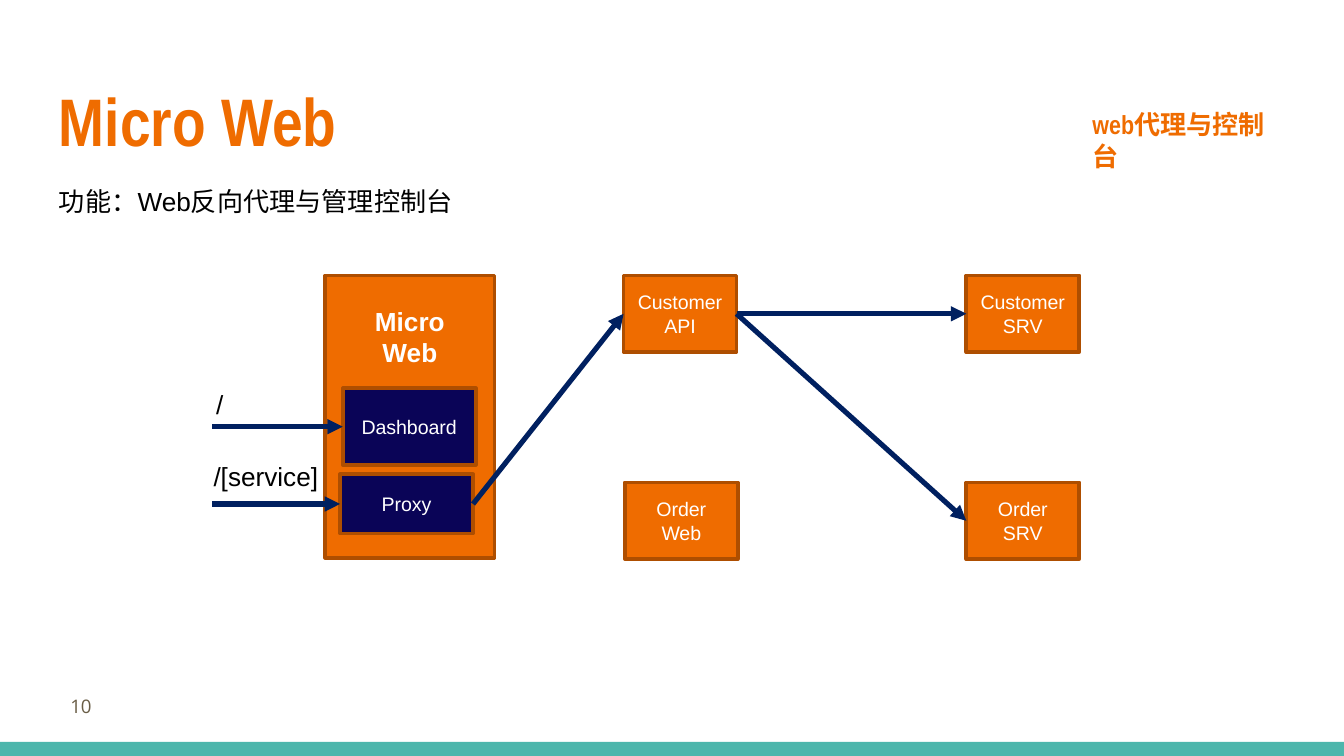
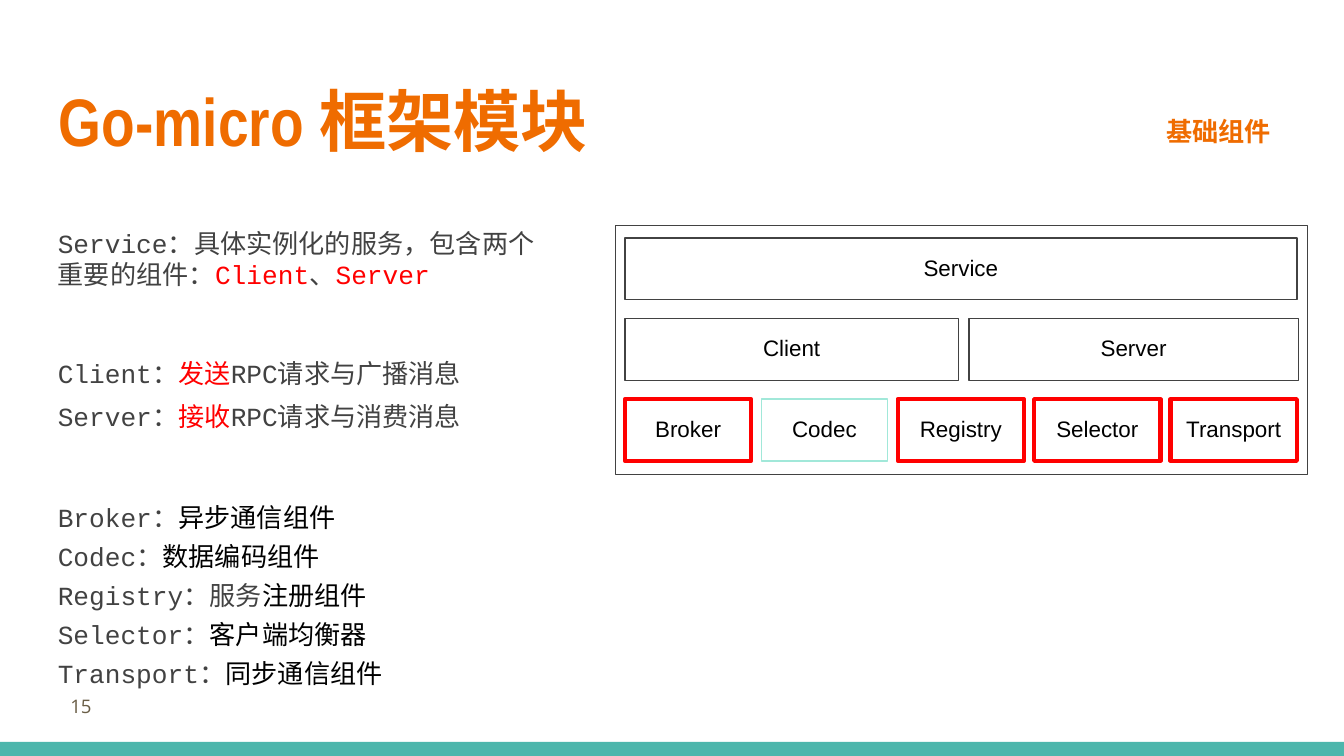
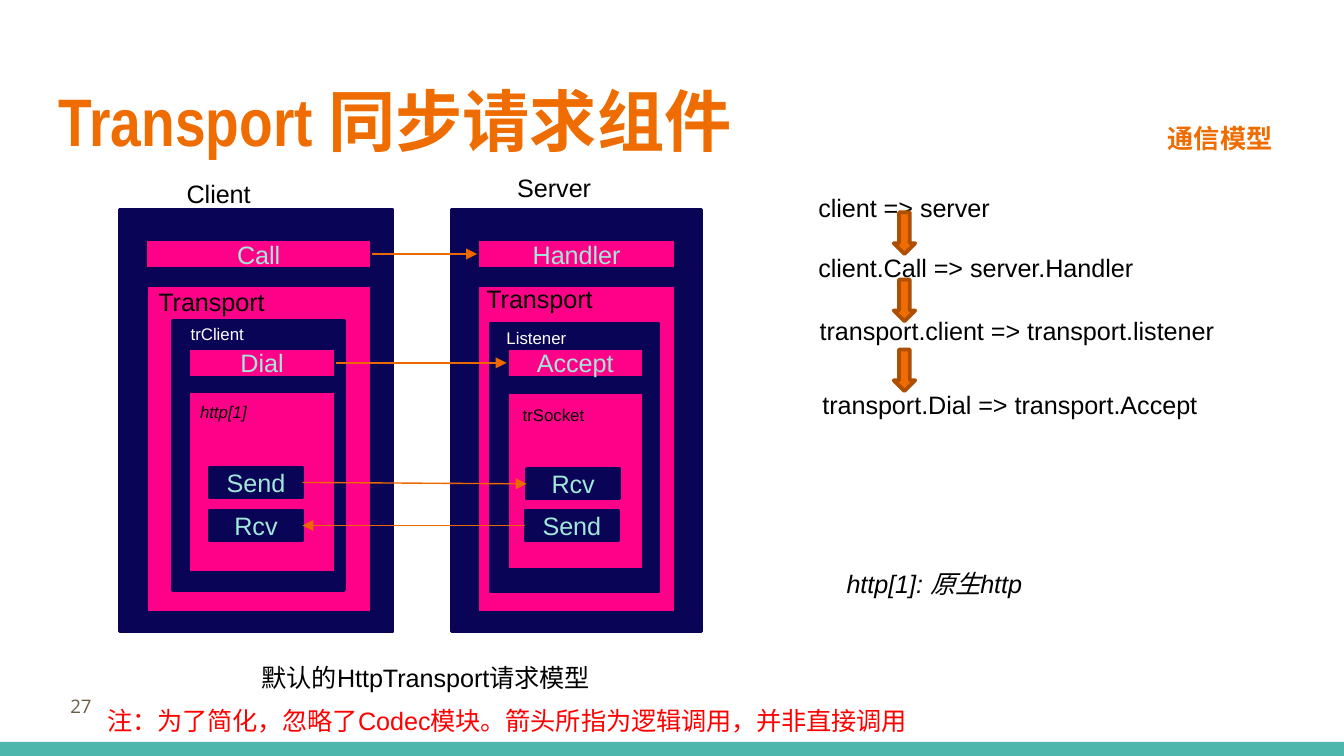
import dataclasses

import pptx
import pptx.dml.color
import pptx.enum.shapes
import pptx.enum.text
import pptx.oxml
import pptx.oxml.ns
import pptx.util

Inches = pptx.util.Inches
SHAPE = pptx.enum.shapes.MSO_SHAPE
ALIGN = pptx.enum.text.PP_ALIGN
ANCHOR = pptx.enum.text.MSO_ANCHOR

COLOURS = {
    "teal": "4DB6AC", "orange": "EF6C00", "rust": "AE4E00", "arrow": "EE6800",
    "navy": "0A0457", "blue": "002060", "pink": "FF0089", "mint": "A1E8D9",
    "red": "FF0000", "grey": "424242", "olive": "695D46",
    "black": "000000", "white": "FFFFFF",
}

FONTS = {
    "title": {"name": "Arial Narrow", "size": 36, "bold": True},
    "topic": {"name": "Arial Narrow", "size": 14, "bold": True},
    "number": {"name": "Open Sans", "size": 10},
    "body": {"name": "Arial", "size": 14},
    "strong": {"name": "Arial", "size": 14, "bold": True},
    "node": {"name": "Arial", "size": 10.5},
    "module": {"name": "Arial", "size": 12},
    "code": {"name": "Courier New", "size": 14},
    "model": {"name": "Arial", "size": 13.5},
    "model italic": {"name": "Arial", "size": 13.5, "italic": True},
    "small": {"name": "Arial", "size": 9},
    "small italic": {"name": "Arial", "size": 9, "italic": True},
}

INSETS = (0.1, 0.05, 0.1, 0.05)
WIDE_INSETS = (0.1, 0.1, 0.1, 0.1)
TIGHT_INSETS = (0.07, 0.04, 0.07, 0.04)
LINE_INSETS = (0.01, 0.01, 0, 0)
MODULE_INSETS = (0, 0.12, 0, 0)


@dataclasses.dataclass
class Box:
    left: float
    top: float
    width: float
    height: float

    def inside(self, x, y, width, height):
        return Box(self.left + x, self.top + y, width, height)

    def lengths(self):
        return [Inches(value) for value in dataclasses.astuple(self)]


def rgb(colour):
    return pptx.dml.color.RGBColor.from_string(COLOURS[colour])


def write(shape, lines, font, colour, insets=INSETS, align=ALIGN.LEFT, anchor=ANCHOR.TOP):
    frame = shape.text_frame
    sides = ("margin_left", "margin_top", "margin_right", "margin_bottom")
    settings = dict(zip(sides, map(Inches, insets)))
    settings.update(word_wrap=True, vertical_anchor=anchor)
    for name, value in settings.items():
        setattr(frame, name, value)
    for index, line in enumerate(lines):
        para = frame.add_paragraph() if index else frame.paragraphs[0]
        para.alignment = align
        for text, tint in [(line, colour)] if isinstance(line, str) else line:
            span = para.add_run()
            span.text = text
            for name, value in FONTS[font].items():
                setattr(span.font, name, pptx.util.Pt(value) if name == "size" else value)
            span.font.color.rgb = rgb(tint)


def add_text(page, box, line, font, colour="black", **layout):
    write(page.shapes.add_textbox(*box.lengths()), [line], font, colour, **layout)


def add_block(page, box, fill=None, outline=None, weight=2, kind=SHAPE.RECTANGLE):
    shape = page.shapes.add_shape(kind, *box.lengths())
    shape.shadow.inherit = False
    if fill:
        shape.fill.solid()
        shape.fill.fore_color.rgb = rgb(fill)
    else:
        shape.fill.background()
    if outline:
        shape.line.color.rgb = rgb(outline)
        shape.line.width = pptx.util.Pt(weight)
    else:
        shape.line.fill.background()
    return shape


def add_arrow(page, target, colour, weight, source=None, start=(0, 0)):
    x, y = map(Inches, start)
    arrow = page.shapes.add_connector(
        pptx.enum.shapes.MSO_CONNECTOR.STRAIGHT, x, y,
        target.left, target.top + target.height // 2)
    leftward = source is not None and source.left > target.left
    if source is not None:
        arrow.begin_connect(source, 1 if leftward else 3)
    arrow.end_connect(target, 3 if leftward else 1)
    arrow.line.color.rgb = rgb(colour)
    arrow.line.width = pptx.util.Pt(weight)
    namespace = pptx.oxml.ns.nsdecls("a")
    properties = arrow._element.spPr
    properties.find(pptx.oxml.ns.qn("a:ln")).append(
        pptx.oxml.parse_xml(f'<a:tailEnd {namespace} type="triangle"/>'))
    properties.append(pptx.oxml.parse_xml(f"<a:effectLst {namespace}/>"))


def add_page(deck, title, topic, topic_box, number, title_width=9.32):
    page = deck.slides.add_slide(deck.slide_layouts[6])
    add_block(page, Box(0, 5.52, 10, 0.11), "teal")
    add_text(page, Box(0.34, 0.49, title_width, 0.77), title, "title", "orange",
             insets=WIDE_INSETS)
    add_text(page, topic_box, topic, "topic", "orange")
    add_text(page, Box(0.18, 5.04, 0.6, 0.43), number, "number", "olive",
             insets=WIDE_INSETS, align=ALIGN.RIGHT, anchor=ANCHOR.MIDDLE)
    return page


def add_node(page, box, lines, fill="orange"):
    node = add_block(page, box, fill, "rust")
    write(node, lines, "node", "white", align=ALIGN.CENTER, anchor=ANCHOR.MIDDLE)
    return node


def draw_gateway(page, box):
    gateway = add_block(page, box, "orange", "rust")
    write(gateway, ["Micro", "Web"], "strong", "white",
          insets=(0.1, 0.22, 0.1, 0.05), align=ALIGN.CENTER)
    dashboard = add_node(page, box.inside(0.13, 0.84, 0.99, 0.57), ["Dashboard"], "navy")
    proxy = add_node(page, box.inside(0.11, 1.48, 0.99, 0.44), ["Proxy"], "navy")
    routes = [("/", dashboard, -0.91, 0.79, 0.64), ("/[service]", proxy, -0.93, 1.33, 1.19)]
    for route, target, x, y, width in routes:
        add_text(page, box.inside(x, y, width, 0.34), route, "body")
        middle = (target.top + target.height / 2) / Inches(1)
        add_arrow(page, target, "blue", 2.75, start=(box.left - 0.84, middle))
    return proxy


def draw_services(page, box, proxy):
    places = {
        ("Customer", "API"): (0, 0), ("Order", "Web"): (0.01, 1.54),
        ("Customer", "SRV"): (2.55, 0), ("Order", "SRV"): (2.55, 1.54),
    }
    nodes = {lines: add_node(page, box.inside(x, y, 0.84, 0.57), lines)
             for lines, (x, y) in places.items()}
    api = nodes["Customer", "API"]
    add_arrow(page, api, "blue", 2.75, source=proxy)
    for name in ("Customer", "Order"):
        add_arrow(page, nodes[name, "SRV"], "blue", 2.75, source=api)


def build_web_page(deck):
    page = add_page(deck, "Micro Web", "web代理与控制台", Box(8.03, 0.76, 1.67, 0.34), "10", 2.5)
    add_text(page, Box(0.34, 1.33, 3.16, 0.34), "功能：Web反向代理与管理控制台", "body")
    proxy = draw_gateway(page, Box(2.42, 2.05, 1.26, 2.1))
    draw_services(page, Box(4.64, 2.05, 3.39, 2.11), proxy)


def draw_descriptions(page, box):
    service = [("Service：具体实例化的服务，包含两个重要的组件：", "grey"), ("Client", "red"),
               ("、", "grey"), ("Server", "red")]
    lines = [
        (0, service),
        (0.97, [("Client：", "grey"), ("发送", "red"), ("RPC请求与广播消息", "grey")]),
        (1.29, [("Server：", "grey"), ("接收", "red"), ("RPC请求与消费消息", "grey")]),
    ]
    components = [("Broker：", "异步通信组件"), ("Codec：", "数据编码组件"),
                  ("Registry：服务", "注册组件"), ("Selector：", "客户端均衡器"),
                  ("Transport：", "同步通信组件")]
    for row, (name, meaning) in enumerate(components):
        lines.append((2.04 + row * 0.29, [(name, "grey"), (meaning, "black")]))
    for y, line in lines:
        height = 0.49 if line is service else 0.25
        add_text(page, box.inside(0, y, box.width, height), line, "code", insets=LINE_INSETS)


def draw_modules(page, box):
    add_block(page, box, None, "grey", 0.75)
    modules = [("Service", 0.07, 0.09, 5, "grey", 0.75),
               ("Client", 0.07, 0.69, 2.48, "grey", 0.75),
               ("Server", 2.63, 0.69, 2.45, "grey", 0.75)]
    step = (5 - 0.94) / 4
    for column, name in enumerate(("Broker", "Codec", "Registry", "Selector", "Transport")):
        edge = ("mint", 0.75) if name == "Codec" else ("red", 2.25)
        modules.append((name, 0.07 + column * step, 1.29, 0.94, *edge))
    for name, x, y, width, outline, weight in modules:
        module = add_block(page, box.inside(x, y, width, 0.46), None, outline, weight)
        write(module, [name], "module", "black", insets=MODULE_INSETS, align=ALIGN.CENTER)


def build_modules_page(deck):
    page = add_page(deck, "Go-micro 框架模块", "基础组件", Box(8.58, 0.81, 0.99, 0.34), "15")
    draw_descriptions(page, Box(0.42, 1.68, 3.69, 3.45))
    draw_modules(page, Box(4.58, 1.68, 5.15, 1.85))


def draw_stack(page, box, panels, steps, labels):
    add_block(page, box, "navy", "navy")
    for fill, *place in panels:
        add_block(page, box.inside(*place), fill, "navy")
    blocks = {}
    for name, fill, x, y, width in steps:
        blocks[name] = add_block(page, box.inside(x, y, width, 0.22), fill, "navy")
        write(blocks[name], [name], "model", "mint", insets=TIGHT_INSETS,
              align=ALIGN.CENTER, anchor=ANCHOR.MIDDLE)
    for text, font, colour, *place in labels:
        add_text(page, box.inside(*place), text, font, colour)
    return blocks


def draw_client(page, box):
    panels = [("pink", 0.2, 0.56, 1.68, 2.44), ("navy", 0.4, 0.83, 1.27, 2),
              ("pink", 0.51, 1.35, 1.1, 1.35)]
    steps = [("Call", "pink", 0.19, 0.22, 1.69), ("Dial", "pink", 0.51, 1.03, 1.1),
             ("Send", "navy", 0.67, 1.92, 0.69), ("Rcv", "navy", 0.67, 2.24, 0.69)]
    labels = [("Client", "model", "black", 0.4, -0.28, 0.78, 0.33),
              ("Transport", "model", "black", 0.19, 0.52, 1.1, 0.33),
              ("trClient", "small", "white", 0.43, 0.8, 0.78, 0.25),
              ("http[1]", "small italic", "black", 0.5, 1.38, 0.56, 0.25)]
    return draw_stack(page, box, panels, steps, labels)


def draw_server(page, box):
    panels = [("pink", 0.19, 0.56, 1.48, 2.44), ("navy", 0.29, 0.85, 1.25, 1.99),
              ("pink", 0.41, 1.36, 1.02, 1.32)]
    steps = [("Handler", "pink", 0.19, 0.22, 1.48), ("Accept", "pink", 0.41, 1.03, 1.02),
             ("Rcv", "navy", 0.56, 1.93, 0.69), ("Send", "navy", 0.55, 2.24, 0.69)]
    labels = [("Server", "model", "black", 0.39, -0.33, 0.99, 0.33),
              ("Transport", "model", "black", 0.16, 0.5, 1.25, 0.33),
              ("Listener", "small", "white", 0.31, 0.83, 0.78, 0.25),
              ("trSocket", "small", "black", 0.43, 1.4, 0.78, 0.25)]
    return draw_stack(page, box, panels, steps, labels)


def draw_call_chain(page, box):
    calls = [("client => server", 0, 0, 2.52, 1.46),
             ("client.Call => server.Handler", 0, 0.45, 3.01, 0.56),
             ("transport.client => transport.listener", 0.01, 0.92, 3.57, 0.56),
             ("transport.Dial => transport.Accept", 0.03, 1.47, 3.55, 0.33)]
    for call, *place in calls:
        add_text(page, box.inside(*place), call, "model")
    for y in (0.2, 0.7, 1.22):
        add_block(page, box.inside(0.66, y, 0.16, 0.31), "orange", "rust", kind=SHAPE.DOWN_ARROW)


def build_transport_page(deck):
    page = add_page(deck, "Transport 同步请求组件", "通信模型", Box(8.59, 0.86, 0.99, 0.34), "27")
    client = draw_client(page, Box(0.89, 1.56, 2.03, 3.14))
    server = draw_server(page, Box(3.36, 1.56, 1.86, 3.14))
    for source, target in [(client["Call"], server["Handler"]), (client["Dial"], server["Accept"]),
                           (client["Send"], server["Rcv"]), (server["Send"], client["Rcv"])]:
        add_arrow(page, target, "arrow", 0.75, source=source)
    draw_call_chain(page, Box(5.99, 1.38, 3.58, 1.8))
    add_text(page, Box(6.2, 4.18, 1.52, 0.33), "http[1]: 原生http", "model italic")
    add_text(page, Box(1.85, 4.88, 2.73, 0.33), "默认的HttpTransport请求模型", "model")
    add_text(page, Box(0.7, 5.2, 6.43, 0.33),
             "注：为了简化，忽略了Codec模块。箭头所指为逻辑调用，并非直接调用", "model", "red")


def main():
    deck = pptx.Presentation()
    deck.slide_width = Inches(10)
    deck.slide_height = deck.slide_width * 9 // 16
    build_web_page(deck)
    build_modules_page(deck)
    build_transport_page(deck)
    deck.save("out.pptx")


if __name__ == "__main__":
    main()
